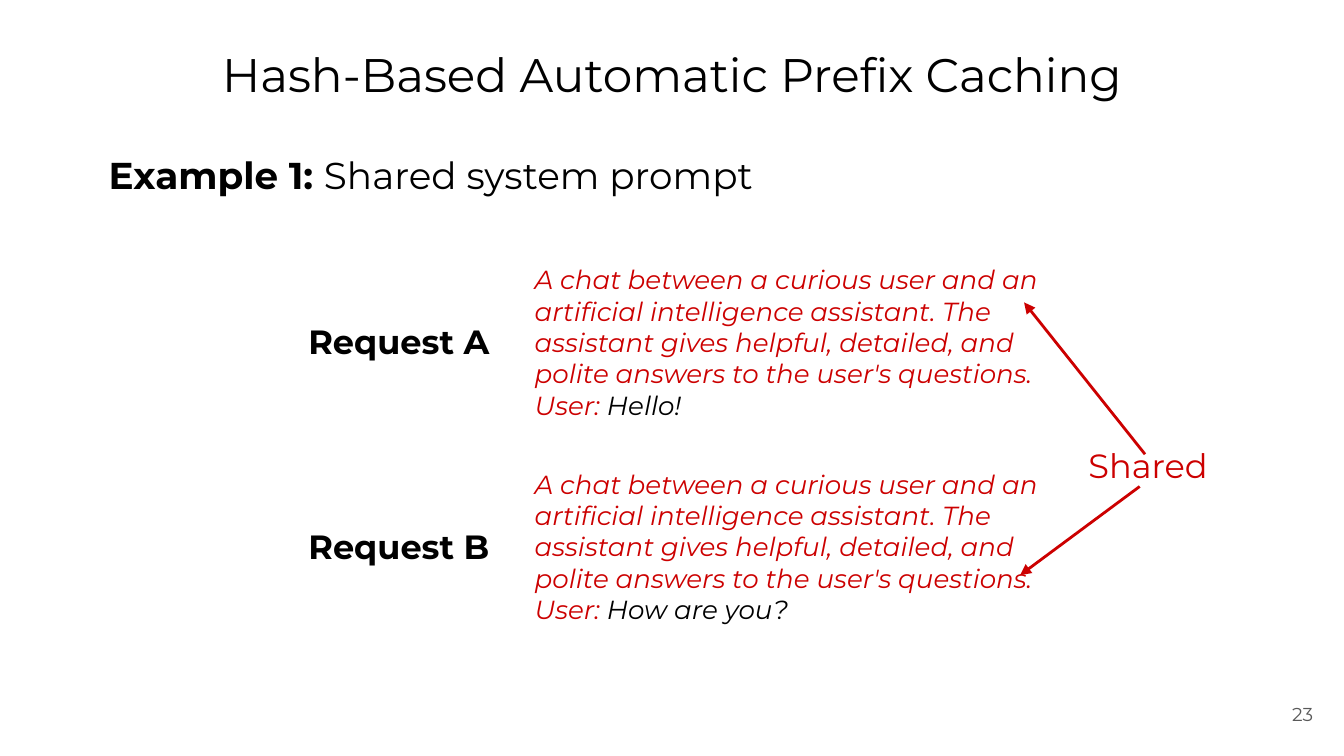
import pptx
import pptx.dml.color
import pptx.enum.shapes
import pptx.enum.text
import pptx.oxml
import pptx.oxml.ns
import pptx.util

Inches = pptx.util.Inches
RGBColor = pptx.dml.color.RGBColor
ALIGN = pptx.enum.text.PP_ALIGN
ANCHOR = pptx.enum.text.MSO_ANCHOR

FONT = "Montserrat"
BLACK = RGBColor(0, 0, 0)
RED = RGBColor(0xCC, 0, 0)
GRAY = RGBColor(0x59, 0x59, 0x59)

PROMPT = (
    "A chat between a curious user and an artificial intelligence assistant. "
    "The assistant gives helpful, detailed, and polite answers to the user's "
    "questions. User: "
)


def place(sp, left, top, width, height):
    sp.left, sp.top = Inches(left), Inches(top)
    sp.width, sp.height = Inches(width), Inches(height)


def fill_text(sp, runs, size, align=ALIGN.LEFT, anchor=ANCHOR.TOP):
    tf = sp.text_frame
    tf.word_wrap = True
    tf.auto_size = pptx.enum.text.MSO_AUTO_SIZE.NONE
    tf.vertical_anchor = anchor
    tf.margin_left = tf.margin_right = Inches(0.1)
    tf.margin_top = tf.margin_bottom = Inches(0.1)
    p = tf.paragraphs[0]
    p.alignment = align
    for text, color, bold, italic in runs:
        r = p.add_run()
        r.text = text
        r.font.name = FONT
        r.font.size = pptx.util.Pt(size)
        r.font.color.rgb = color
        r.font.bold = bold
        r.font.italic = italic


def add_title(s, text):
    sp = s.shapes.title
    place(sp, 0.34, 0.24, 9.32, 0.63)
    fill_text(sp, [(text, BLACK, False, False)], 25.2, ALIGN.CENTER)


def add_text(s, box, runs, size, align=ALIGN.LEFT, anchor=ANCHOR.TOP):
    sp = s.shapes.add_textbox(*map(Inches, box))
    fill_text(sp, runs, size, align, anchor)


def add_request(s, name, message, label_top, prompt_top, prompt_height):
    add_text(s, (2.06, label_top, 1.68, 0.68), [(name, BLACK, True, False)],
             18, ALIGN.RIGHT, ANCHOR.MIDDLE)
    add_text(s, (3.88, prompt_top, 4.06, prompt_height),
             [(PROMPT, RED, False, True), (message, BLACK, False, True)],
             14, anchor=ANCHOR.MIDDLE)


def add_arrow(s, x1, y1, x2, y2):
    sp = s.shapes.add_connector(
        pptx.enum.shapes.MSO_CONNECTOR.STRAIGHT,
        Inches(x1), Inches(y1), Inches(x2), Inches(y2))
    sp.line.color.rgb = RED
    sp.line.width = pptx.util.Pt(1.5)
    ns = pptx.oxml.ns.nsdecls("a")
    sp.line._get_or_add_ln().append(
        pptx.oxml.parse_xml(f'<a:tailEnd {ns} type="triangle"/>'))
    sp._element.spPr.append(pptx.oxml.parse_xml(f"<a:effectLst {ns}/>"))


def main():
    prs = pptx.Presentation()
    prs.slide_width, prs.slide_height = Inches(10), Inches(10 * 9 / 16)
    s = prs.slides.add_slide(prs.slide_layouts[5])

    add_title(s, "Hash-Based Automatic Prefix Caching")
    add_text(s, (9.27, 5.1, 0.6, 0.43), [("23", GRAY, False, False)],
             10, ALIGN.RIGHT, ANCHOR.MIDDLE)
    add_text(s, (0.71, 1.03, 6.29, 0.54),
             [("Example 1: ", BLACK, True, False),
              ("Shared system prompt", BLACK, False, False)], 20)

    add_request(s, "Request A", "Hello!", 2.2, 1.98, 1.13)
    add_request(s, "Request B", "How are you?", 3.72, 3.32, 1.49)

    add_arrow(s, 8.52, 3.38, 7.62, 2.25)
    add_arrow(s, 8.48, 3.62, 7.59, 4.28)
    add_text(s, (8, 3.21, 1.56, 0.43), [("Shared", RED, False, False)], 18)

    prs.save("out.pptx")


if __name__ == "__main__":
    main()
